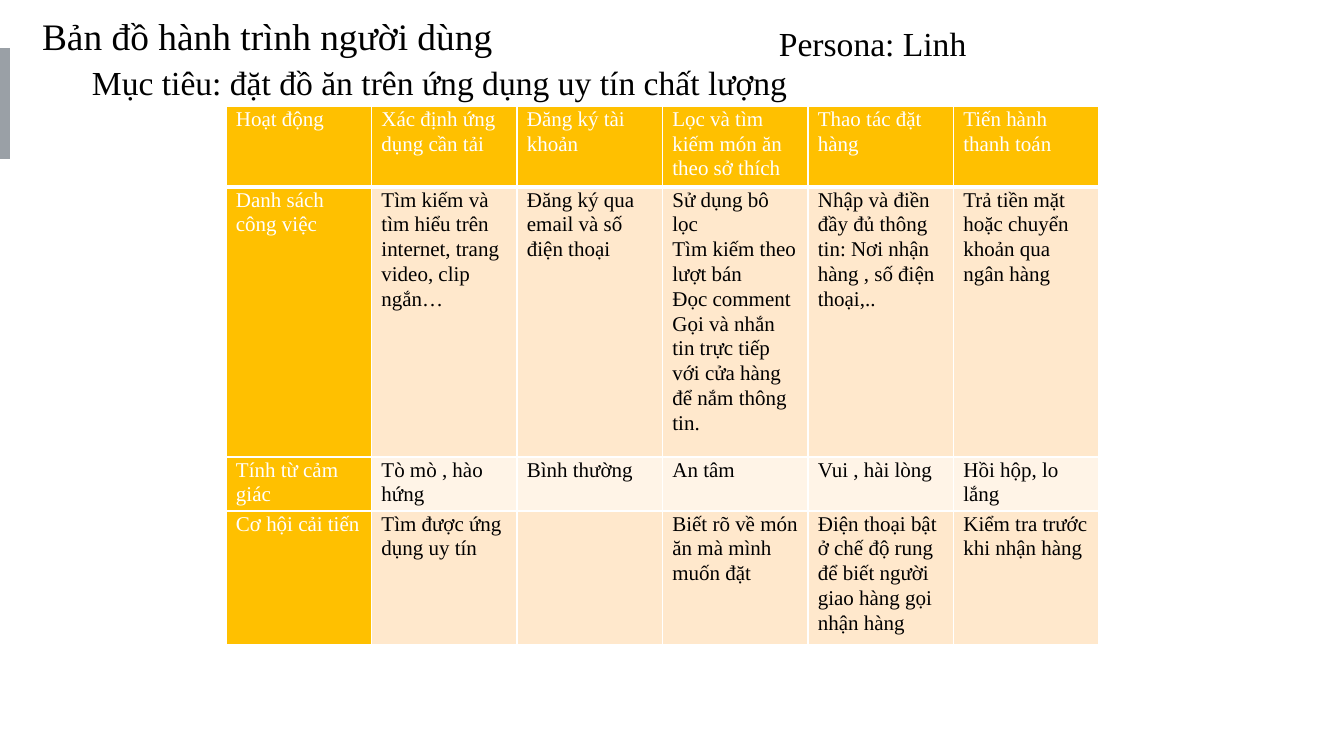
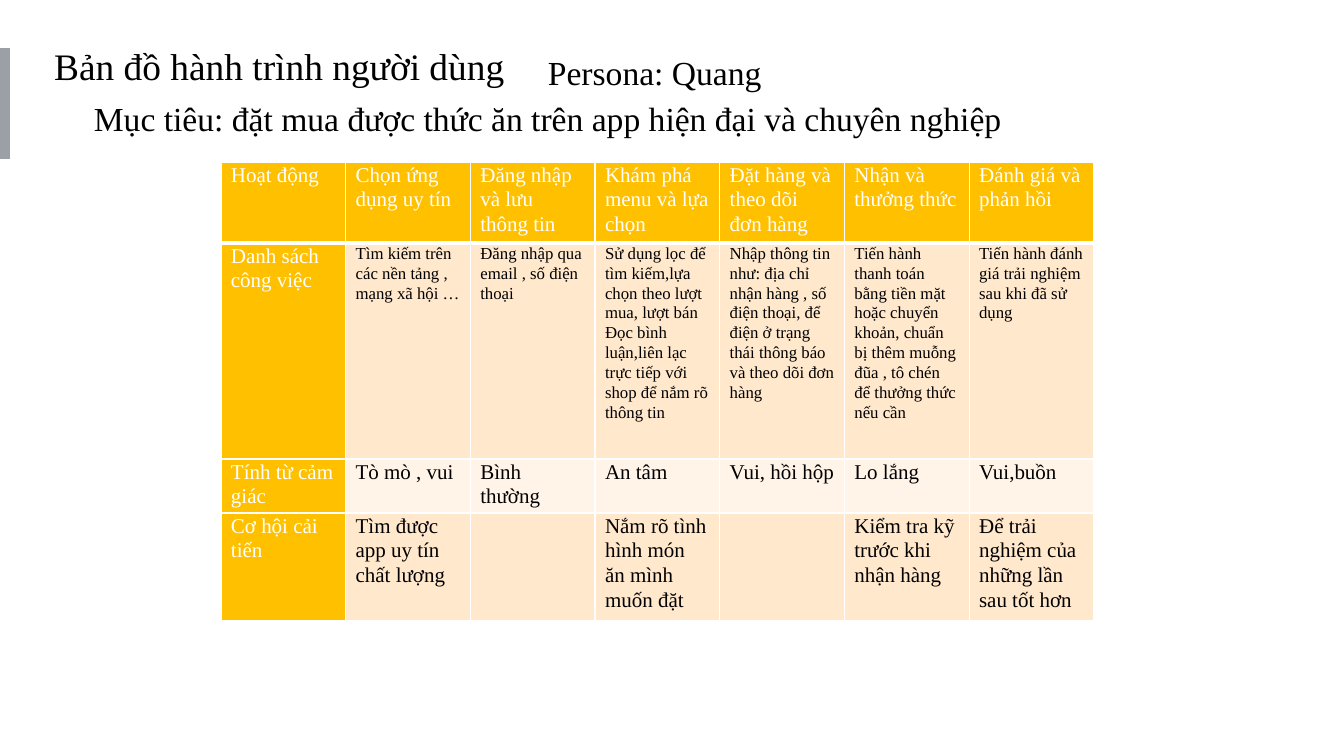
import lxml.etree
import pptx
import pptx.dml.color
import pptx.enum.shapes
import pptx.enum.text
import pptx.oxml.ns
import pptx.util

SLIDE = (1344, 756)
SCALE = 12192000 / SLIDE[0]
COLORS = {"ink": "000000", "paper": "FFFFFF", "amber": "FFC000",
          "peach": "FFE8CC", "cream": "FFF4E7", "band": "9AA0A6"}
BAND_BOX = (0, 48, 10, 111)
TITLE = "Bản đồ hành trình người dùng"
TITLE_SIZE, SUBTITLE_SIZE, CELL_SIZE = 26.7, 24, 15
FRAME = {"word_wrap": True, "auto_size": pptx.enum.text.MSO_AUTO_SIZE.NONE,
         "vertical_anchor": pptx.enum.text.MSO_ANCHOR.TOP}
CELL = {"margin_left": 10, "margin_right": 10, "margin_top": 0, "margin_bottom": 0}

JOURNEYS = [
    {
        "title_box": (32, 8, 557, 55),
        "persona": ("Persona: Linh", (769, 18, 239, 50)),
        "goal": ("Mục tiêu: đặt đồ ăn trên ứng dụng uy tín chất lượng", (82, 57, 1017, 50)),
        "map_box": (226, 106, 873, 539),
        "row_heights": (81, 270, 54, 134),
        "task_size": 15,
        "rows": [
            ["Hoạt động", "Xác định ứng dụng cần tải", "Đăng ký tài khoản",
             "Lọc và tìm kiếm món ăn theo sở thích", "Thao tác đặt hàng",
             "Tiến hành thanh toán"],
            ["Danh sách công việc",
             "Tìm kiếm và tìm hiểu trên internet, trang video, clip ngắn…",
             "Đăng ký qua email và số điện thoại",
             "Sử dụng bô lọc\nTìm kiếm theo lượt bán\nĐọc comment\n"
             "Gọi và nhắn tin trực tiếp với cửa hàng để nắm thông tin.",
             "Nhập và điền đầy đủ thông tin: Nơi nhận hàng , số điện thoại,..",
             "Trả tiền mặt hoặc chuyển khoản qua ngân hàng"],
            ["Tính từ cảm giác", "Tò mò , hào hứng", "Bình thường", "An tâm",
             "Vui , hài lòng", "Hồi hộp, lo lắng"],
            ["Cơ hội cải tiến", "Tìm được ứng dụng uy tín", "",
             "Biết rõ về món ăn mà mình muốn đặt",
             "Điện thoại bật ở chế độ rung để biết người giao hàng gọi nhận hàng",
             "Kiểm tra trước khi nhận hàng"],
        ],
    },
    {
        "title_box": (44, 38, 557, 55),
        "persona": ("Persona: Quang", (538, 47, 237, 50)),
        "goal": ("Mục tiêu: đặt mua được thức ăn trên app hiện đại và chuyên nghiệp",
                 (84, 93, 1035, 50)),
        "map_box": (221, 162, 873, 459),
        "row_heights": (81, 216, 54, 108),
        "task_size": 12,
        "rows": [
            ["Hoạt động", "Chọn ứng dụng uy tín", "Đăng nhập và lưu thông tin",
             "Khám phá menu và lựa chọn", "Đặt hàng và theo dõi đơn hàng",
             "Nhận và thưởng thức", "Đánh giá và phản hồi"],
            ["Danh sách công việc", "Tìm kiếm trên các nền tảng , mạng xã hội …",
             "Đăng nhập qua email , số điện thoại",
             "Sử dụng lọc để tìm kiếm,lựa chọn theo lượt mua, lượt bán\n"
             "Đọc bình luận,liên lạc trực tiếp với shop để nắm rõ thông tin",
             "Nhập thông tin như: địa chỉ nhận hàng , số điện thoại, "
             "để điện ở trạng thái thông báo và theo dõi đơn hàng",
             "Tiến hành thanh toán bằng tiền mặt hoặc chuyển khoản, "
             "chuẩn bị thêm muỗng đũa , tô chén để thưởng thức nếu cần",
             "Tiến hành đánh giá trải nghiệm sau khi đã sử dụng"],
            ["Tính từ cảm giác", "Tò mò , vui", "Bình thường", "An tâm",
             "Vui, hồi hộp", "Lo lắng", "Vui,buồn"],
            ["Cơ hội cải tiến", "Tìm được app uy tín chất lượng", "",
             "Nắm rõ tình hình món ăn mình muốn đặt", "",
             "Kiểm tra kỹ trước khi nhận hàng",
             "Để trải nghiệm của những lần sau tốt hơn"],
        ],
    },
]


def px(length):
    """Turn px into EMU."""
    return pptx.util.Emu(round(length * SCALE))


def rgb(name):
    """Return the named colour."""
    return pptx.dml.color.RGBColor.from_string(COLORS[name])


def apply(target, values):
    """Set attributes from a dict of format values."""
    for name, value in values.items():
        setattr(target, name, value)


def write(frame, text, size, color="ink", spacing=1.0):
    """Fill a text frame with left-aligned paragraphs in one style."""
    frame.text = text
    for paragraph in frame.paragraphs:
        apply(paragraph, {"alignment": pptx.enum.text.PP_ALIGN.LEFT,
                          "line_spacing": spacing})
        for font in [paragraph.font] + [run.font for run in paragraph.runs]:
            apply(font, {"name": "Times New Roman", "size": pptx.util.Pt(size)})
            font.color.rgb = rgb(color)


def add_heading(slide, journey):
    """Place the title, the persona and the goal."""
    title = slide.shapes.title
    apply(title, dict(zip(("left", "top", "width", "height"),
                          map(px, journey["title_box"]))))
    apply(title.text_frame, FRAME)
    write(title.text_frame, TITLE, TITLE_SIZE)
    for text, box in (journey["persona"], journey["goal"]):
        caption = slide.shapes.add_textbox(*map(px, box)).text_frame
        apply(caption, FRAME)
        write(caption, text, SUBTITLE_SIZE)


def add_borders(cell, bottom):
    """Draw white cell edges with the given bottom width in points."""
    properties = cell._tc.get_or_add_tcPr()
    for edge, width in (("L", 1), ("R", 1), ("T", 1), ("B", bottom)):
        line = lxml.etree.SubElement(properties, pptx.oxml.ns.qn(f"a:ln{edge}"),
                                     w=str(pptx.util.Pt(width)))
        fill = lxml.etree.SubElement(line, pptx.oxml.ns.qn("a:solidFill"))
        lxml.etree.SubElement(fill, pptx.oxml.ns.qn("a:srgbClr"), val=COLORS["paper"])


def add_journey_map(slide, box, rows, row_heights, task_size):
    """Place the journey table with equal columns in its box."""
    journey_map = slide.shapes.add_table(len(rows), len(rows[0]), *map(px, box)).table
    for column in journey_map.columns:
        column.width = px(box[2] / len(rows[0]))
    for r, (texts, height) in enumerate(zip(rows, row_heights)):
        journey_map.rows[r].height = px(height)
        for c, text in enumerate(texts):
            cell = journey_map.cell(r, c)
            is_label = r == 0 or c == 0
            apply(cell, {side: px(margin) for side, margin in CELL.items()})
            add_borders(cell, 3 if r == 0 else 1)
            cell.fill.solid()
            cell.fill.fore_color.rgb = rgb(
                "amber" if is_label else "peach" if r % 2 else "cream")
            write(cell.text_frame, text,
                  task_size if r == 1 and c > 0 else CELL_SIZE,
                  "paper" if is_label else "ink", 1.07)


def add_shared_band(slide, layout):
    """Draw the side band and move it to the shared layout."""
    band = slide.shapes.add_shape(pptx.enum.shapes.MSO_SHAPE.RECTANGLE,
                                  *map(px, BAND_BOX))
    band.shadow.inherit = False
    band.fill.solid()
    band.fill.fore_color.rgb = rgb("band")
    band.line.fill.background()
    layout.shapes._spTree.append(band._element)


def add_journey_slide(deck, layout, journey):
    """Build one user journey slide."""
    slide = deck.slides.add_slide(layout)
    add_heading(slide, journey)
    add_journey_map(slide, journey["map_box"], journey["rows"],
                    journey["row_heights"], journey["task_size"])
    return slide


def main():
    """Build and save the deck."""
    deck = pptx.Presentation()
    apply(deck, dict(zip(("slide_width", "slide_height"), map(px, SLIDE))))
    layout = deck.slide_layouts.get_by_name("Title Only")
    slides = [add_journey_slide(deck, layout, journey) for journey in JOURNEYS]
    add_shared_band(slides[0], layout)
    deck.save("out.pptx")


if __name__ == "__main__":
    main()
